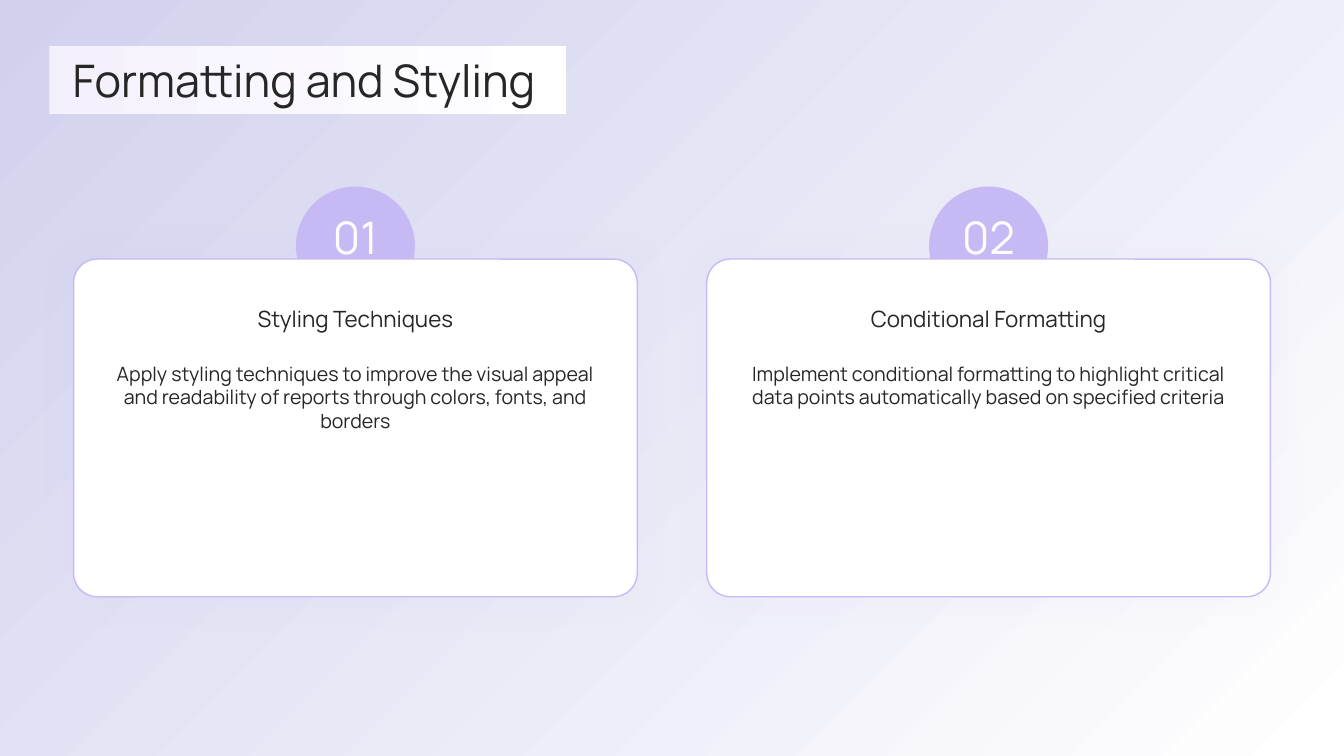
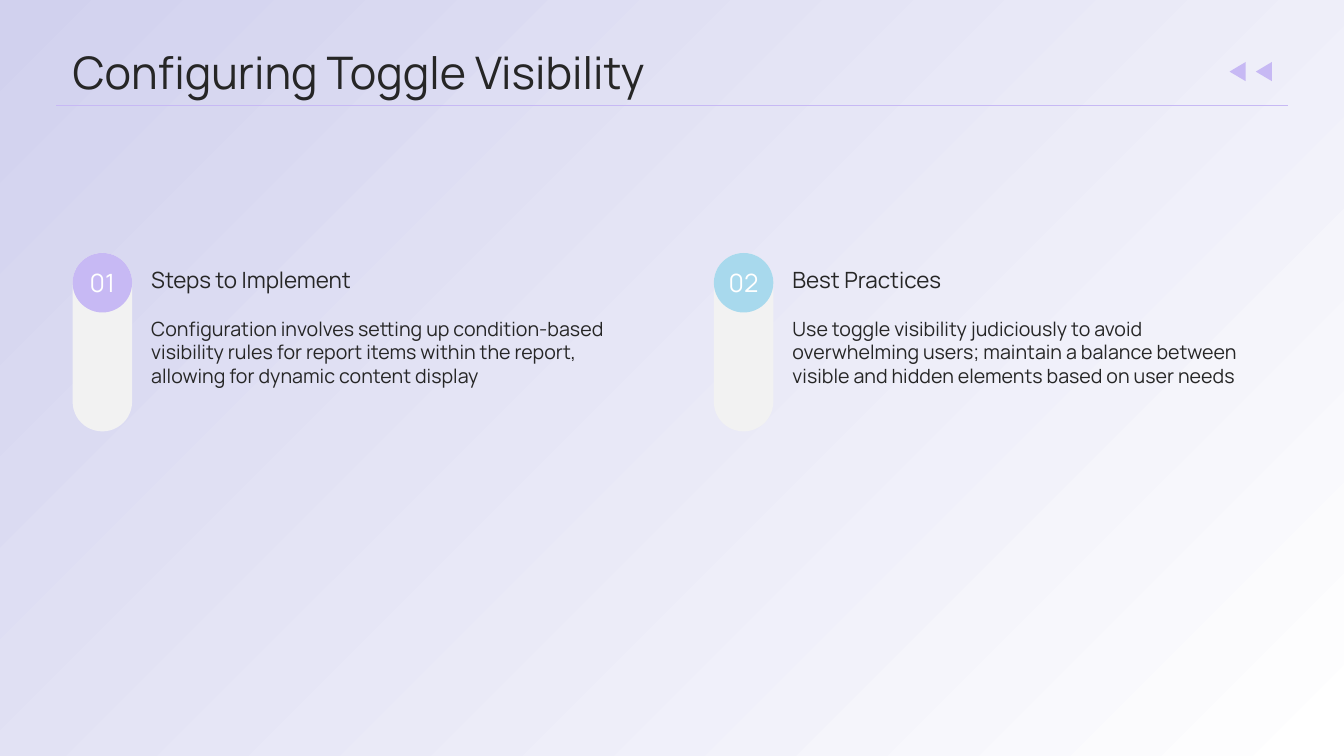
"""Build two slides on report formatting and toggle visibility."""
from lxml import etree
from pptx import Presentation
from pptx.dml.color import RGBColor
from pptx.enum import shapes, text
from pptx.oxml import ns
from pptx.util import Inches, Pt

FONT = "Manrope"
INK = RGBColor(0x26, 0x26, 0x26)
WHITE = RGBColor(0xFF, 0xFF, 0xFF)
LILAC = RGBColor(0xC7, 0xB9, 0xF4)
SKY = RGBColor(0xA8, 0xD9, 0xED)
PALE = RGBColor(0xF4, 0xF1, 0xFD)
GREY = RGBColor(0xF2, 0xF2, 0xF2)
DUSK = RGBColor(0xD1, 0xD1, 0xEE)

WIDTH, HEIGHT = 13.33, 7.5
MARGIN = 0.72
TITLE_SIZE, HEAD_SIZE, BODY_SIZE = 32, 16, 14
KIND = shapes.MSO_SHAPE
LEFT, CENTER = text.PP_ALIGN.LEFT, text.PP_ALIGN.CENTER
TOP, MIDDLE = text.MSO_ANCHOR.TOP, text.MSO_ANCHOR.MIDDLE

CARDS = {
    "title": "Formatting and Styling",
    "items": [
        ("01", "Styling Techniques",
         "Apply styling techniques to improve the visual appeal and "
         "readability of reports through colors, fonts, and borders"),
        ("02", "Conditional Formatting",
         "Implement conditional formatting to highlight critical data "
         "points automatically based on specified criteria"),
    ],
}
PILLS = {
    "title": "Configuring Toggle Visibility",
    "items": [
        ("01", "Steps to Implement",
         "Configuration involves setting up condition-based visibility "
         "rules for report items within the report, allowing for dynamic "
         "content display", LILAC),
        ("02", "Best Practices",
         "Use toggle visibility judiciously to avoid overwhelming users; "
         "maintain a balance between visible and hidden elements based on "
         "user needs", SKY),
    ],
}


def paint_gradient(fill, start, end, angle):
    fill.gradient()
    fill.gradient_angle = angle
    for stop, color in zip(fill.gradient_stops, (start, end)):
        stop.color.rgb = color


def add_shape(s, kind, x, y, w, h, color=None, rotation=0):
    sp = s.shapes.add_shape(kind, *map(Inches, (x, y, w, h)))
    sp.shadow.inherit = False
    sp.line.fill.background()
    sp.rotation = rotation
    if color is not None:
        sp.fill.solid()
        sp.fill.fore_color.rgb = color
    return sp


def add_text(s, words, x, y, w, h, size, color=INK, align=LEFT, anchor=MIDDLE):
    tf = s.shapes.add_textbox(*map(Inches, (x, y, w, h))).text_frame
    tf.word_wrap = True
    tf.margin_left = tf.margin_top = tf.margin_right = tf.margin_bottom = 0
    tf.vertical_anchor = anchor
    tf.text = words
    p = tf.paragraphs[0]
    p.alignment = align
    font = p.runs[0].font
    font.name, font.size = FONT, Pt(size)
    font.color.rgb = color


def add_title(s, words, y):
    add_text(s, words, MARGIN, y, WIDTH - 2 * MARGIN, 0.51, TITLE_SIZE)


def add_glow(sp, color):
    effects = sp._element.spPr.find(ns.qn("a:effectLst"))
    glow = etree.SubElement(effects, ns.qn("a:outerShdw"), blurRad=str(Pt(25)),
                            dist="0", dir="5400000", algn="t", rotWithShape="0")
    tint = etree.SubElement(glow, ns.qn("a:srgbClr"), val=str(color))
    etree.SubElement(tint, ns.qn("a:alpha"), val="10000")


def build_cards(s, title, items):
    card_w, card_h, card_y, gap = 5.59, 3.35, 2.57, 0.69
    disc, number_w, text_w = 1.18, 0.9, 4.8
    for i, (number, head, body) in enumerate(items):
        x = MARGIN + 0.01 + i * (card_w + gap)
        mid = x + card_w / 2
        text_x = mid - text_w / 2
        add_shape(s, KIND.OVAL, mid - disc / 2, 1.85, disc, disc, LILAC)
        add_text(s, number, mid - number_w / 2, 2.08, number_w, 0.39,
                 TITLE_SIZE, WHITE, CENTER, TOP)
        card = add_shape(s, KIND.ROUNDED_RECTANGLE, x, card_y, card_w, card_h, WHITE)
        card.adjustments[0] = 0.07
        card.line.color.rgb = LILAC
        card.line.width = Pt(1)
        add_glow(card, LILAC)
        add_text(s, head, text_x, 2.93, text_w, 0.47, HEAD_SIZE, align=CENTER)
        add_text(s, body, text_x, 3.59, text_w, 2.13, BODY_SIZE,
                 align=CENTER, anchor=TOP)
    band = add_shape(s, KIND.RECTANGLE, 0.49, 0.46, 5.12, 0.67)
    paint_gradient(band.fill, PALE, WHITE, 0)
    add_title(s, title, 0.53)


def build_pills(s, title, items):
    pill_w, pill_h, pill_y, pitch = 0.59, 1.77, 2.51, 6.36
    number_w, number_h, text_w = 0.47, 0.28, 4.72
    for i, (number, head, body, color) in enumerate(items):
        x = MARGIN + i * pitch
        text_x = x + 0.78
        pill = add_shape(s, KIND.ROUNDED_RECTANGLE, x, pill_y, pill_w, pill_h, GREY)
        pill.adjustments[0] = 0.5
        add_shape(s, KIND.OVAL, x, pill_y, pill_w, pill_w, color)
        add_text(s, number, x + (pill_w - number_w) / 2,
                 pill_y + (pill_w - number_h) / 2, number_w, number_h,
                 18, WHITE, CENTER)
        add_text(s, head, text_x, 2.41, text_w, 0.73, HEAD_SIZE)
        add_text(s, body, text_x, 3.14, text_w, 2.39, BODY_SIZE, anchor=TOP)
    add_title(s, title, 0.46)
    for i in range(2):
        add_shape(s, KIND.ISOSCELES_TRIANGLE, 12.18 + 0.26 * i, 0.63, 0.19, 0.16,
                  LILAC, 270)
    rule = s.shapes.add_connector(shapes.MSO_CONNECTOR.STRAIGHT,
                                  *map(Inches, (0.56, 1.05, WIDTH - 0.56, 1.05)))
    rule.line.color.rgb = LILAC
    rule.line.width = Pt(0.75)
    etree.SubElement(rule._element.spPr, ns.qn("a:effectLst"))


def main():
    prs = Presentation()
    prs.slide_width, prs.slide_height = Inches(WIDTH), Inches(HEIGHT)
    paint_gradient(prs.slide_master.background.fill, DUSK, WHITE, 315)
    for build, content in ((build_cards, CARDS), (build_pills, PILLS)):
        build(prs.slides.add_slide(prs.slide_layouts[6]), **content)
    prs.save("out.pptx")


if __name__ == "__main__":
    main()
